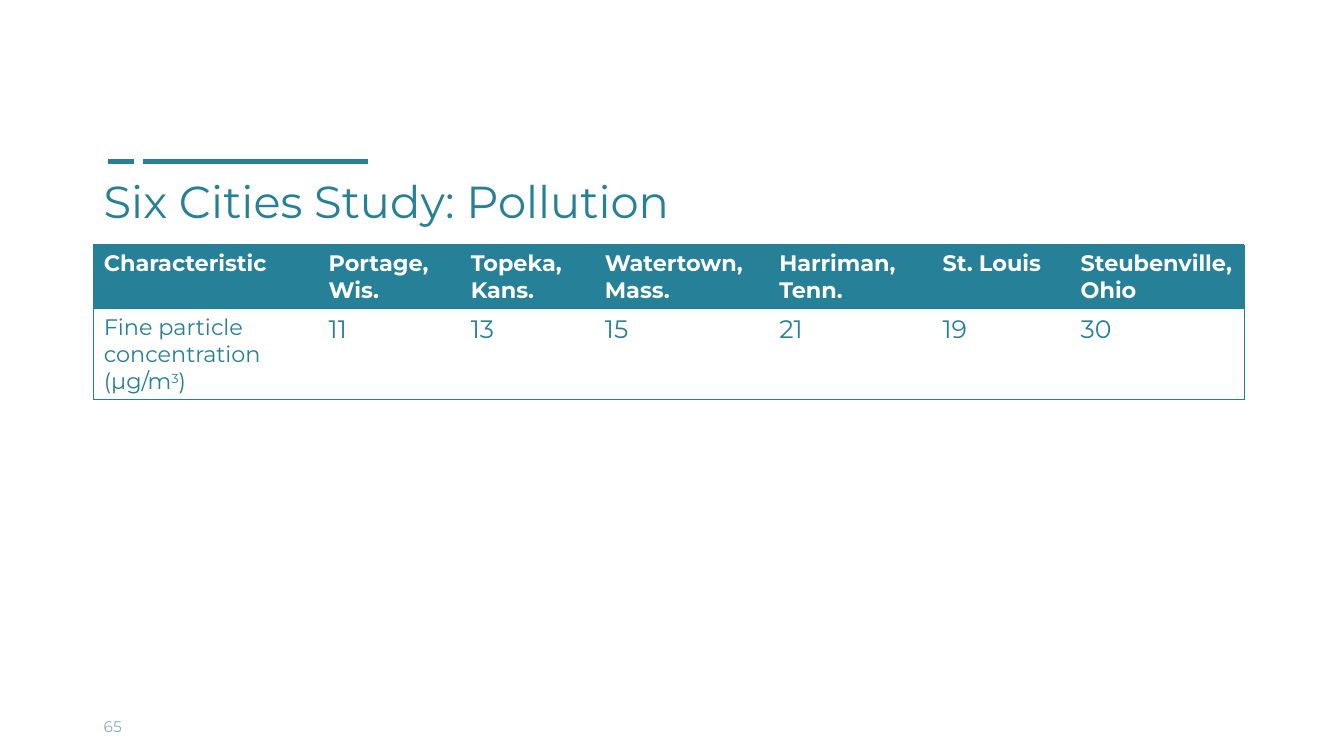
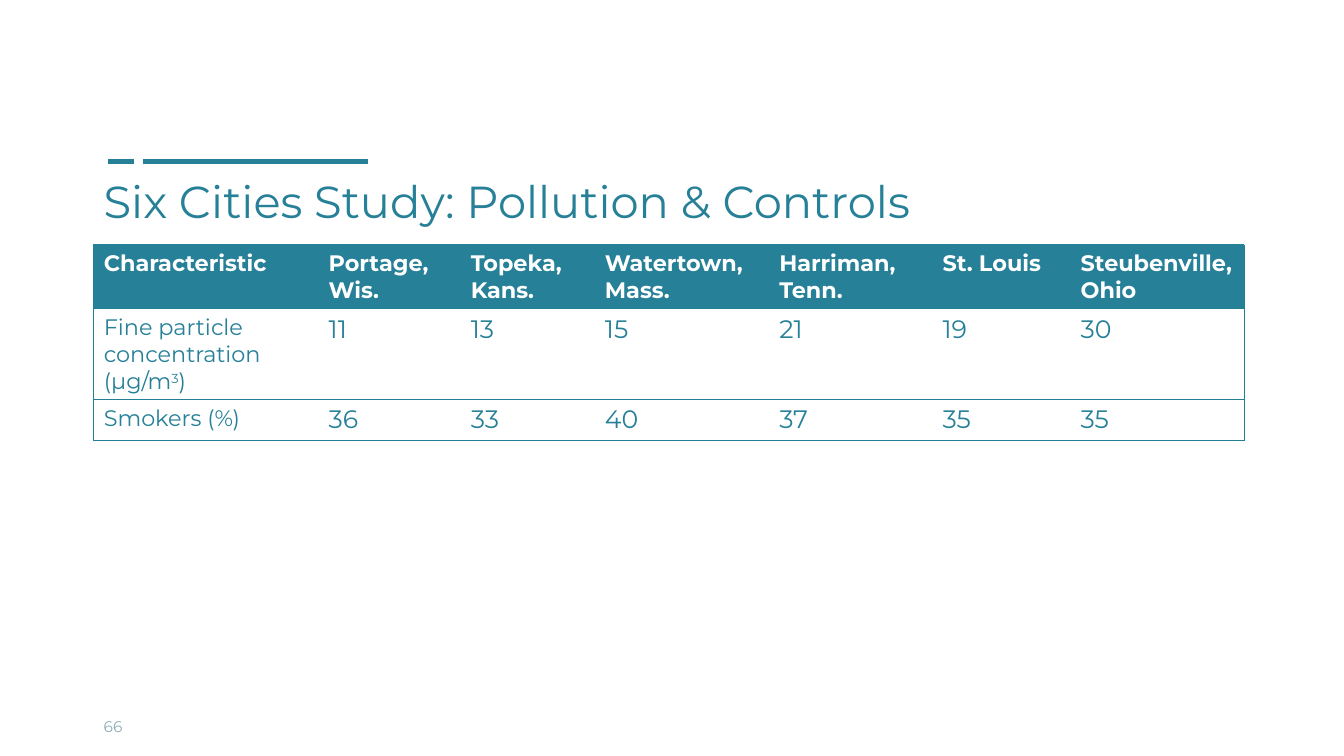
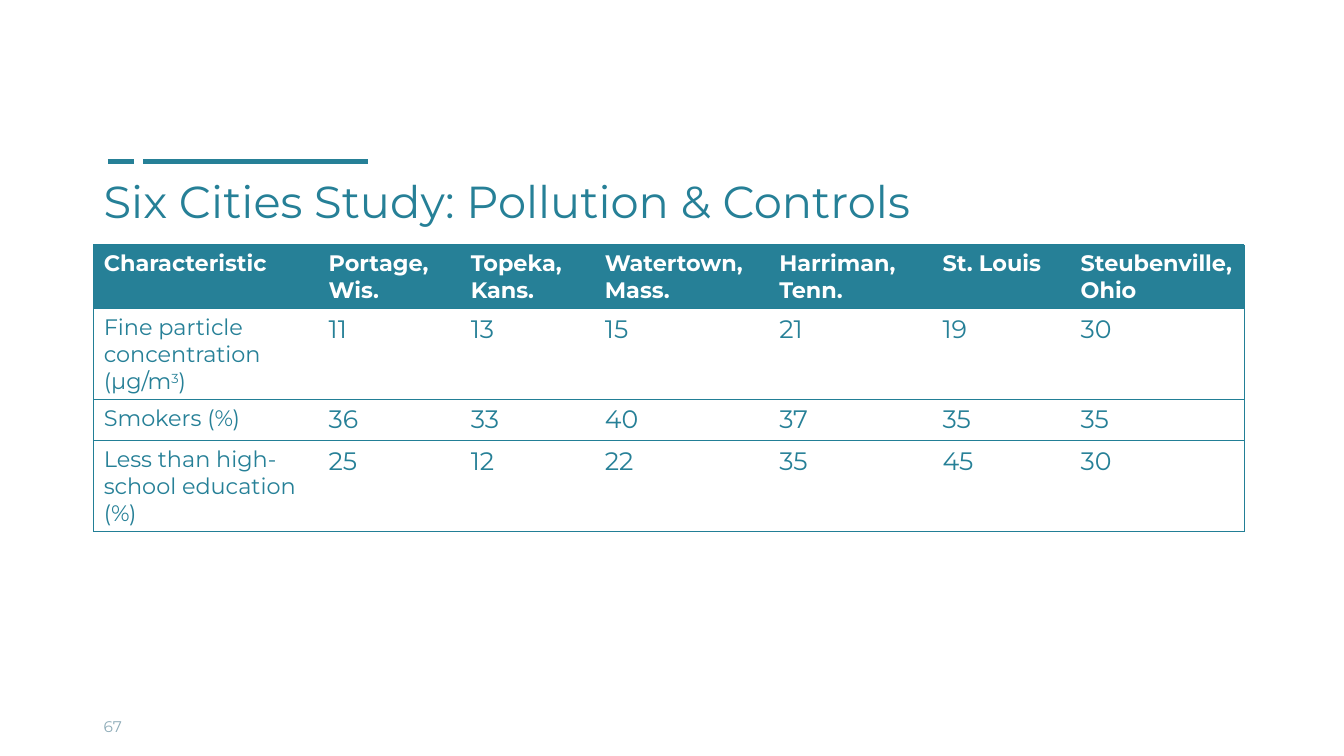
from dataclasses import dataclass

import lxml.etree
import pptx
import pptx.dml.color
import pptx.enum.shapes
import pptx.enum.text
import pptx.oxml.ns
import pptx.slide
import pptx.table
import pptx.text.text
import pptx.util
from pptx.util import Inches

TEAL = pptx.dml.color.RGBColor(0x26, 0x80, 0x97)
BORDER_TEAL = pptx.dml.color.RGBColor(0x22, 0x7F, 0x96)
PAGE_GRAY = pptx.dml.color.RGBColor(0x8E, 0xAC, 0xB8)
WHITE = pptx.dml.color.RGBColor(0xFF, 0xFF, 0xFF)
FONT = "Montserrat"
NO_GRID_STYLE = "{2D5ABB26-0587-4C30-8999-92F81FD0307C}"

LEFT = 0.93
ACCENT_TOP = 1.6
ACCENT_SPANS = ((1.42, 3.65), (1.07, 1.33))
COLUMN_WIDTHS = (2.23, 1.41, 1.33, 1.73, 1.62, 1.37, 1.72)
ROW_HEIGHT = 0.41


@dataclass(frozen=True)
class TextStyle:
    size: int
    color: pptx.dml.color.RGBColor
    bold: bool = False


@dataclass(frozen=True)
class Measure:
    """One table row: a label, an optional superscript with what follows it, and city values."""
    label: str
    values: tuple[int, ...]
    superscript: str = ""
    ending: str = ""


@dataclass(frozen=True)
class StudySlide:
    title: str
    page: int
    measure_count: int


TITLE = TextStyle(32, TEAL)
PAGE_NUMBER = TextStyle(11, PAGE_GRAY)
HEADER = TextStyle(16, WHITE, bold=True)
LABEL = TextStyle(16, TEAL)
VALUE = TextStyle(18, TEAL)

HEADINGS = ("Characteristic", "Portage, Wis.", "Topeka, Kans.", "Watertown, Mass.",
            "Harriman, Tenn.", "St. Louis", "Steubenville, Ohio")
MEASURES = (
    Measure("Fine particle concentration (μg/m", (11, 13, 15, 21, 19, 30), "3", ")"),
    Measure("Smokers (%)", (36, 33, 40, 37, 35, 35)),
    Measure("Less than high-school education (%)", (25, 12, 22, 35, 45, 30)),
)
SLIDES = (
    StudySlide("Six Cities Study: Pollution", 65, 1),
    StudySlide("Six Cities Study: Pollution & Controls", 66, 2),
    StudySlide("Six Cities Study: Pollution & Controls", 67, 3),
)


def add_run(paragraph: pptx.text.text._Paragraph, text: str, style: TextStyle,
            superscript: bool = False) -> None:
    run = paragraph.add_run()
    run.text = text
    run.font.name = FONT
    run.font.size = pptx.util.Pt(style.size)
    run.font.bold = style.bold
    run.font.color.rgb = style.color
    if superscript:
        run.font._element.set("baseline", "30000")


def add_text(slide: pptx.slide.Slide, text: str, style: TextStyle, top: float, width: float,
             height: float, anchor: pptx.enum.text.MSO_ANCHOR) -> None:
    shape = slide.shapes.add_textbox(Inches(LEFT), Inches(top), Inches(width), Inches(height))
    shape.text_frame.word_wrap = True
    shape.text_frame.vertical_anchor = anchor
    add_run(shape.text_frame.paragraphs[0], text, style)


def add_accent_lines(slide: pptx.slide.Slide) -> None:
    for start, end in ACCENT_SPANS:
        line = slide.shapes.add_connector(
            pptx.enum.shapes.MSO_CONNECTOR.STRAIGHT,
            Inches(start), Inches(ACCENT_TOP), Inches(end), Inches(ACCENT_TOP))
        line.line.color.rgb = TEAL
        line.line.width = pptx.util.Pt(3.5)
        lxml.etree.SubElement(line._element.spPr, pptx.oxml.ns.qn("a:effectLst"))


def add_borders(cell: pptx.table._Cell, is_first: bool, is_last: bool) -> None:
    """Rule above and below the cell, and at the outer sides of the table."""
    qn = pptx.oxml.ns.qn
    properties = cell._tc.get_or_add_tcPr()
    for tag, shown in (("a:lnL", is_first), ("a:lnR", is_last), ("a:lnT", True), ("a:lnB", True)):
        if shown:
            border = lxml.etree.SubElement(properties, qn(tag), w=str(pptx.util.Pt(0.75)))
            fill = lxml.etree.SubElement(border, qn("a:solidFill"))
            lxml.etree.SubElement(fill, qn("a:srgbClr"), val=str(BORDER_TEAL))


def fill_header(table: pptx.table.Table) -> None:
    for cell, heading in zip(table.rows[0].cells, HEADINGS):
        cell.fill.solid()
        cell.fill.fore_color.rgb = TEAL
        add_run(cell.text_frame.paragraphs[0], heading, HEADER)


def fill_measure(row: pptx.table._Row, measure: Measure) -> None:
    label_cell, *value_cells = row.cells
    paragraph = label_cell.text_frame.paragraphs[0]
    add_run(paragraph, measure.label, LABEL)
    if measure.superscript:
        add_run(paragraph, measure.superscript, LABEL, superscript=True)
        add_run(paragraph, measure.ending, LABEL)
    for cell, value in zip(value_cells, measure.values):
        add_run(cell.text_frame.paragraphs[0], str(value), VALUE)
    for cell in row.cells:
        cell.fill.background()


def add_city_table(slide: pptx.slide.Slide, measures: tuple[Measure, ...]) -> None:
    row_count = len(measures) + 1
    table = slide.shapes.add_table(
        row_count, len(HEADINGS), Inches(LEFT), Inches(2.43),
        Inches(sum(COLUMN_WIDTHS)), Inches(ROW_HEIGHT * row_count)).table
    table.horz_banding = False
    table._tbl.tblPr.find(pptx.oxml.ns.qn("a:tableStyleId")).text = NO_GRID_STYLE
    for column, width in zip(table.columns, COLUMN_WIDTHS):
        column.width = Inches(width)
    for row in table.rows:
        row.height = Inches(ROW_HEIGHT)
        for index, cell in enumerate(row.cells):
            add_borders(cell, index == 0, index == len(HEADINGS) - 1)
    fill_header(table)
    for row, measure in zip(list(table.rows)[1:], measures):
        fill_measure(row, measure)


def main() -> None:
    presentation = pptx.Presentation()
    presentation.slide_width = Inches(13.33)
    presentation.slide_height = Inches(7.5)
    anchors = pptx.enum.text.MSO_ANCHOR
    for study in SLIDES:
        slide = presentation.slides.add_slide(presentation.slide_layouts[6])
        add_accent_lines(slide)
        add_text(slide, study.title, TITLE, 1.67, 11.11, 0.65, anchors.TOP)
        add_city_table(slide, MEASURES[:study.measure_count])
        add_text(slide, str(study.page), PAGE_NUMBER, 7.01, 3.11, 0.4, anchors.MIDDLE)
    presentation.save("out.pptx")


if __name__ == "__main__":
    main()
